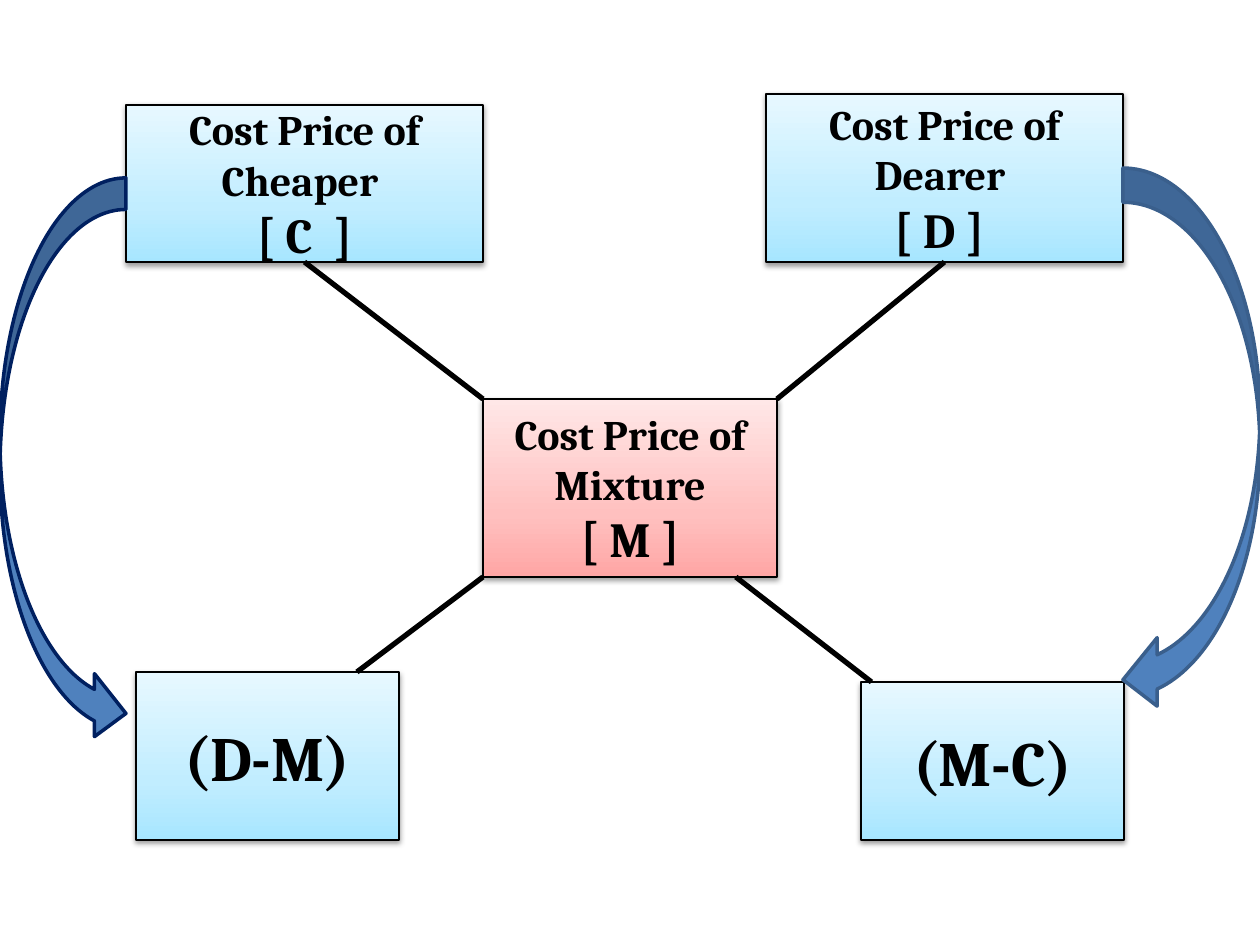
from copy import deepcopy

from lxml import etree
from pptx import Presentation, util as u
from pptx.dml.color import RGBColor
from pptx.enum import shapes, text
from pptx.oxml.ns import qn

SCALE = 914400 / 126
BLUE = ("A7E6FF", "C1EDFF", "E7F8FF")
RED = ("FFA6A5", "FFC0BF", "FFE7E7")
STOPS = (0, 0.35, 1)

CHEAPER = (126, 105, 357, 157)
DEARER = (766, 94, 357, 168)
MIXTURE = (483, 399, 294, 178)
CHEAPER_PART = (136, 672, 263, 168)
DEARER_PART = (861, 682, 263, 158)


def px(*lengths):
    """Turn picture pixels into EMU."""
    return [u.Emu(round(length * SCALE)) for length in lengths]


def color(code):
    """Return a colour from its hex string."""
    return RGBColor.from_string(code)


def outline(line, code, width):
    """Set the colour and width in points of a line."""
    line.color.rgb = color(code)
    line.width = u.Pt(width)


def shade(box, colors):
    """Fill a box with a three-stop gradient rising from its bottom edge."""
    box.fill.gradient()
    box.fill.gradient_angle = 90
    stop_list = next(box._element.spPr.iter(qn("a:gsLst")))
    stop_list.append(deepcopy(stop_list[-1]))
    for stop, code, position in zip(box.fill.gradient_stops, colors, STOPS):
        stop.color.rgb = color(code)
        stop.position = position


def drop_shadow(box):
    """Give a box a soft shadow straight below it."""
    box.shadow.inherit = False
    effects = box._element.spPr.find(qn("a:effectLst"))
    shadow = etree.SubElement(effects, qn("a:outerShdw"), blurRad="40000",
                              dist="20000", dir="5400000", rotWithShape="0")
    tint = etree.SubElement(shadow, qn("a:srgbClr"), val="000000")
    etree.SubElement(tint, qn("a:alpha"), val="38000")


def price_box(slide, area, colors, border, lines):
    """Draw a shaded box holding centred (wording, size) lines."""
    box = slide.shapes.add_shape(shapes.MSO_SHAPE.RECTANGLE, *px(*area))
    shade(box, colors)
    outline(box.line, "000000", border)
    drop_shadow(box)
    frame = box.text_frame
    frame.word_wrap = True
    frame.vertical_anchor = text.MSO_ANCHOR.MIDDLE
    for index, (wording, size) in enumerate(lines):
        paragraph = frame.add_paragraph() if index else frame.paragraphs[0]
        paragraph.alignment = text.PP_ALIGN.CENTER
        run = paragraph.add_run()
        run.text = wording
        run.font.color.rgb = color("000000")
        style = {"name": "Cambria", "size": u.Pt(size), "bold": True}
        for key, value in style.items():
            setattr(run.font, key, value)


def link(slide, start, end):
    """Join two points with a thick black line."""
    line = slide.shapes.add_connector(shapes.MSO_CONNECTOR.STRAIGHT,
                                      *px(*start, *end))
    outline(line.line, "000000", 3)
    etree.SubElement(line._element.spPr, qn("a:effectLst"))


def curved_arrow(slide, preset, area, border):
    """Draw a curved block arrow from a price to its share."""
    arrow = slide.shapes.add_shape(preset, *px(*area))
    arrow.shadow.inherit = False
    arrow.fill.solid()
    arrow.fill.fore_color.rgb = color("4F81BD")
    outline(arrow.line, border, 2)


def point(area, across, down):
    """Return the point at the given fractions of a box."""
    left, top, width, height = area
    return left + width * across, top + height * down


def alligation_slide(slide):
    """Lay out the alligation diagram with its links and arrows."""
    for area, colors, border, lines in (
        (CHEAPER, BLUE, 1.5, [("Cost Price of Cheaper ", 24), ("[ C  ]", 28)]),
        (DEARER, BLUE, 1.5, [("Cost Price of Dearer ", 24), ("[ D ] ", 28)]),
        (MIXTURE, RED, 0.75, [("Cost Price of Mixture", 24), ("[ M ]", 28)]),
        (CHEAPER_PART, BLUE, 0.75, [("(D-M)", 36)]),
        (DEARER_PART, BLUE, 0.75, [("(M-C)", 36)]),
    ):
        price_box(slide, area, colors, border, lines)

    link(slide, point(CHEAPER, 0.5, 1), point(MIXTURE, 0, 0))
    link(slide, point(MIXTURE, 1, 0), point(DEARER, 0.5, 1))
    link(slide, point(MIXTURE, 0, 1), point(CHEAPER_PART, 0.84, 0))
    link(slide, point(MIXTURE, 0.86, 1), point(DEARER_PART, 0.04, 0))

    curved_arrow(slide, shapes.MSO_SHAPE.CURVED_RIGHT_ARROW,
                 (0, 178, 126, 567), "002060")
    curved_arrow(slide, shapes.MSO_SHAPE.CURVED_LEFT_ARROW,
                 (1123, 168, 137, 546), "3A5F8C")


deck = Presentation()
deck.slide_width, deck.slide_height = px(1260, 945)
alligation_slide(deck.slides.add_slide(deck.slide_layouts[6]))
deck.save("out.pptx")
